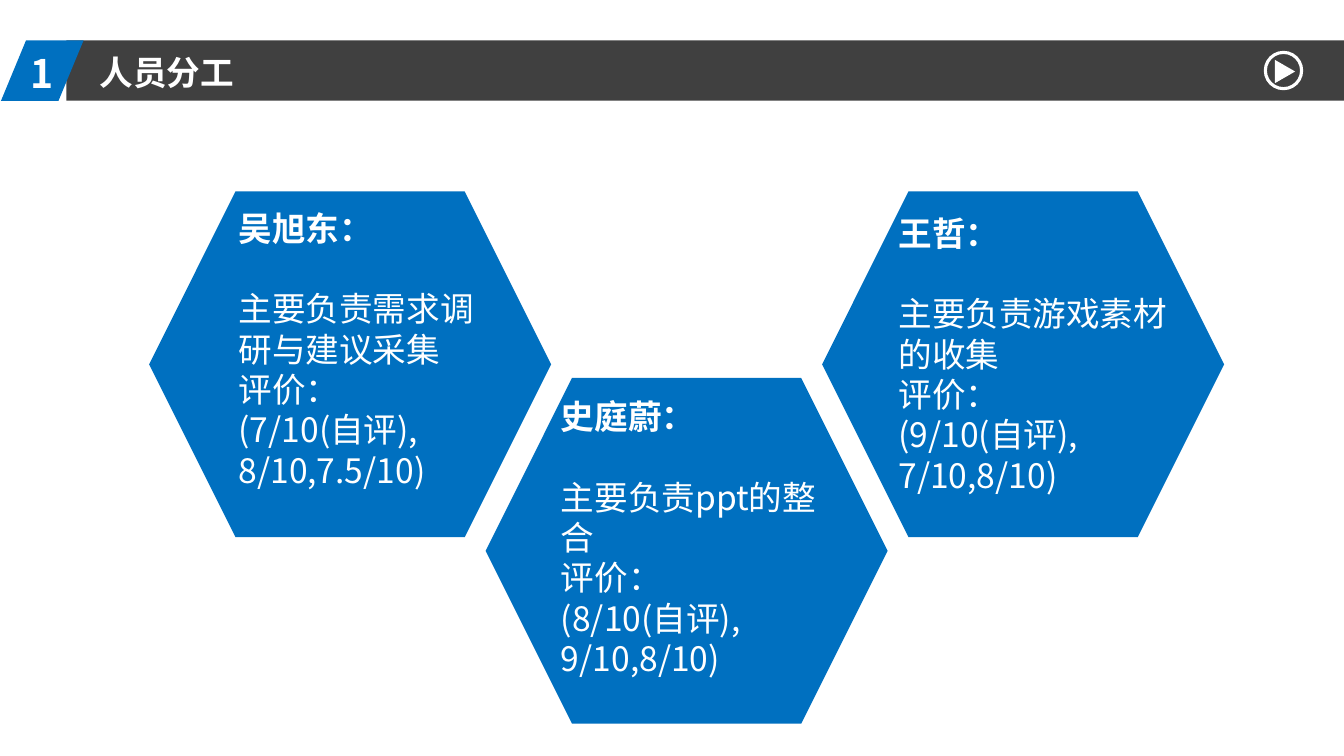
from lxml import etree
from pptx import Presentation
from pptx.dml.color import RGBColor
from pptx.enum.shapes import MSO_SHAPE as Preset
from pptx.enum.text import MSO_ANCHOR as Anchor, MSO_AUTO_SIZE as AutoSize, PP_ALIGN as Align
from pptx.oxml.ns import qn
from pptx.util import Inches, Pt

BLUE, GREY, WHITE = "0070C0", "404040", "FFFFFF"
HEXAGON_SIZE = (3.99, 3.43)

# hexagon left/top, text left/top/width/height, name, duty, two lines of scores
MEMBERS = [
    ((1.48, 1.9), (2.27, 2.01, 2.74, 2.9), "吴旭东：", "主要负责需求调研与建议采集",
     ("(7/10(自评),", "8/10,7.5/10)")),
    ((4.82, 3.75), (5.47, 3.88, 2.87, 2.9), "史庭蔚：", "主要负责ppt的整合",
     ("(8/10(自评),", "9/10,8/10)")),
    ((8.16, 1.9), (8.82, 2.06, 3.04, 2.9), "王哲：", "主要负责游戏素材的收集",
     ("(9/10(自评),", "7/10,8/10)")),
]


def color(value):
    return RGBColor.from_string(value)


class SlideBuilder:
    font_name = "Noto Sans CJK SC"
    text_size = 24

    def __init__(self, slide):
        self.slide = slide

    def shape(self, preset, box, fill=None, line=None, adjustment=None, parent=None):
        shapes = (parent or self.slide).shapes
        shape = shapes.add_shape(preset, *map(Inches, box))
        shape.shadow.inherit = False
        if fill:
            shape.fill.solid()
            shape.fill.fore_color.rgb = color(fill)
        else:
            shape.fill.background()
        if line:
            shape.line.color.rgb = color(line)
            shape.line.width = Pt(2.25)
        else:
            shape.line.fill.background()
        if adjustment is not None:
            shape.adjustments[0] = adjustment
        return shape

    def format_paragraph(self, paragraph, size, bold):
        paragraph.alignment = Align.LEFT
        for run in paragraph.runs:
            font = run.font
            font.name, font.size, font.bold = self.font_name, Pt(size), bold
            font.color.rgb = color(WHITE)
            east_asian = etree.SubElement(run._r.get_or_add_rPr(), qn("a:ea"))
            east_asian.set("typeface", self.font_name)

    def text(self, box, lines, size=text_size):
        """Add a text box whose first line is bold and set apart from the rest."""
        shape = self.slide.shapes.add_textbox(*map(Inches, box))
        frame = shape.text_frame
        frame.word_wrap = True
        frame.auto_size = AutoSize.SHAPE_TO_FIT_TEXT
        frame.text = "\n".join(lines)
        for index, paragraph in enumerate(frame.paragraphs):
            self.format_paragraph(paragraph, size, bold=index == 0)
            if index == 1:
                paragraph.space_before = Pt(1.2 * size)

    def title(self, box, text):
        """Fill the title placeholder and bring it in front of the bar."""
        title = self.slide.shapes.title
        title.left, title.top, title.width, title.height = map(Inches, box)
        frame = title.text_frame
        frame.text = text
        frame.vertical_anchor = Anchor.TOP
        frame.auto_size = AutoSize.NONE
        self.format_paragraph(frame.paragraphs[0], self.text_size, bold=True)
        self.slide.shapes._spTree.append(title._element)

    def play_icon(self):
        group = self.slide.shapes.add_group_shape()
        self.shape(Preset.OVAL, (12.56, 0.52, 0.36, 0.36), line=WHITE, parent=group)
        triangle = self.shape(Preset.ISOSCELES_TRIANGLE, (12.64, 0.61, 0.23, 0.2),
                              fill=WHITE, parent=group)
        triangle.rotation = 90


def main():
    presentation = Presentation()
    presentation.slide_width, presentation.slide_height = Inches(13.34), Inches(7.5)
    slide = presentation.slides.add_slide(presentation.slide_layouts.get_by_name("Title Only"))
    builder = SlideBuilder(slide)

    builder.shape(Preset.RECTANGLE, (0.66, 0.4, 12.68, 0.6), GREY)
    builder.shape(Preset.PARALLELOGRAM, (0.01, 0.4, 0.82, 0.6), BLUE, adjustment=0.415)
    builder.text((0.2, 0.44, 0.69, 0.57), ["1"], size=28)
    builder.title((0.89, 0.46, 2.74, 0.5), "人员分工")
    builder.play_icon()

    for corner, text_box, name, duty, scores in MEMBERS:
        builder.shape(Preset.HEXAGON, corner + HEXAGON_SIZE, BLUE, adjustment=0.25)
        builder.text(text_box, [name, duty, "评价：", *scores])

    presentation.save("out.pptx")


if __name__ == "__main__":
    main()
